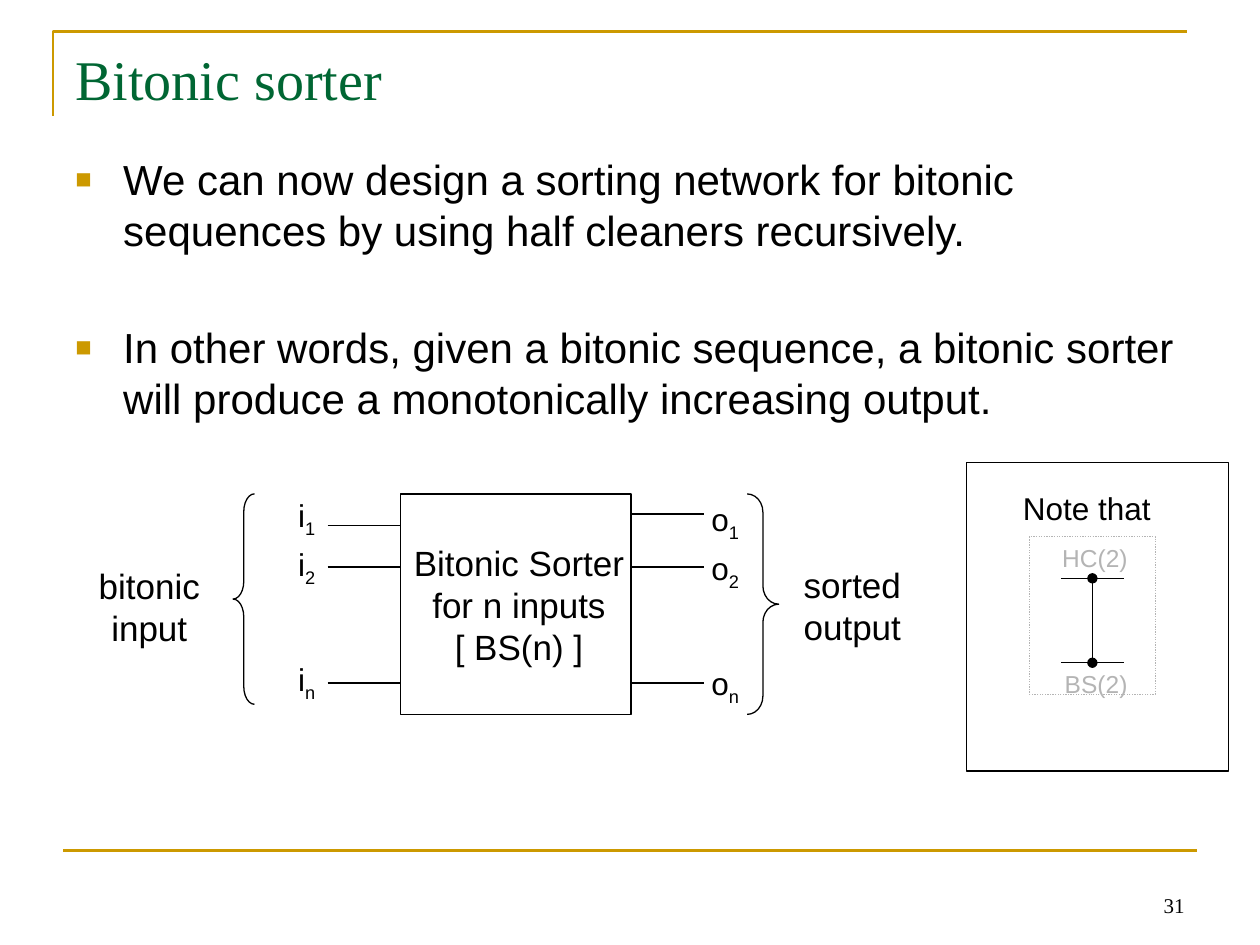
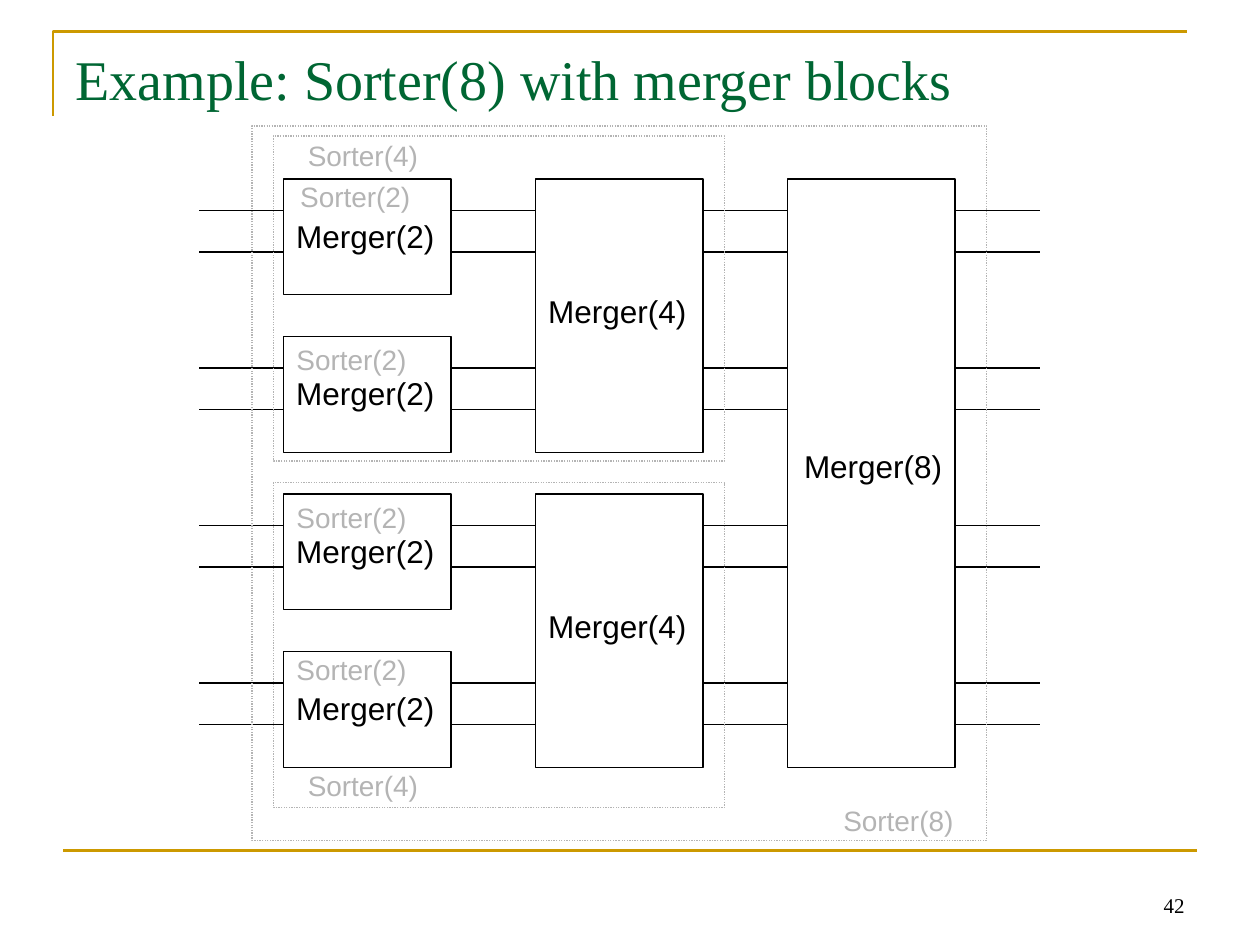
import pptx
import pptx.util
import pptx.dml.color
import pptx.enum.dml
import pptx.enum.shapes
import pptx.enum.text
import pptx.oxml
import pptx.oxml.ns

Inches = pptx.util.Inches
Pt = pptx.util.Pt
SHAPE = pptx.enum.shapes.MSO_SHAPE
ALIGN = pptx.enum.text.PP_ALIGN
ANCHOR = pptx.enum.text.MSO_ANCHOR
AUTO_SIZE = pptx.enum.text.MSO_AUTO_SIZE

GOLD, GREEN, BLACK, GREY = "CC9900", "006633", "000000", "B4B4B4"
SERIF, SANS = "Times New Roman", "Arial"
TITLE_ONLY = 5


def color(hex_text):
    return pptx.dml.color.RGBColor.from_string(hex_text)


def add_element(parent, tag, **attributes):
    element = pptx.oxml.parse_xml(f"<a:{tag} {pptx.oxml.ns.nsdecls('a')}/>")
    for name, value in attributes.items():
        element.set(name, value)
    parent.append(element)
    return element


def add_span(para, text, size, hex_text=BLACK, font=SANS):
    span = para.add_run()
    span.text = text
    span.font.size = Pt(size)
    span.font.name = font
    span.font.color.rgb = color(hex_text)
    return span


def add_label(slide, left, top, width, height, lines, size, hex_text=BLACK,
              align=ALIGN.CENTER, font=SANS, anchor=ANCHOR.TOP, subscript=None):
    box = slide.shapes.add_textbox(Inches(left), Inches(top), Inches(width), Inches(height))
    frame = box.text_frame
    frame.word_wrap = False
    frame.vertical_anchor = anchor
    if anchor == ANCHOR.TOP:
        frame.auto_size = AUTO_SIZE.SHAPE_TO_FIT_TEXT
    for index, text in enumerate(lines):
        para = frame.add_paragraph() if index else frame.paragraphs[0]
        para.alignment = align
        add_span(para, text, size, hex_text, font)
    if subscript:
        span = add_span(para, subscript, size, hex_text, font)
        span._r.get_or_add_rPr().set("baseline", "-25000")


def add_outline(slide, left, top, width, height, kind=SHAPE.RECTANGLE, dotted=False):
    shape = slide.shapes.add_shape(kind, Inches(left), Inches(top), Inches(width), Inches(height))
    shape.shadow.inherit = False
    shape.fill.background()
    shape.line.color.rgb = color(GREY if dotted else BLACK)
    shape.line.width = Pt(0.75)
    if dotted:
        shape.line.dash_style = pptx.enum.dml.MSO_LINE.ROUND_DOT
    return shape


def add_line(slide, x1, y1, x2, y2, hex_text=BLACK, weight=0.75, oval_ends=False):
    line = slide.shapes.add_connector(pptx.enum.shapes.MSO_CONNECTOR.STRAIGHT,
                                      Inches(x1), Inches(y1), Inches(x2), Inches(y2))
    line.line.color.rgb = color(hex_text)
    line.line.width = Pt(weight)
    if oval_ends:
        for tag in ("headEnd", "tailEnd"):
            add_element(line.line._get_or_add_ln(), tag, type="oval")
    add_element(line._element.spPr, "effectLst")


def add_frame_lines(slide):
    builder = slide.shapes.build_freeform(Inches(0.42), Inches(0.92))
    builder.add_line_segments([(Inches(0.42), Inches(0.25)), (Inches(9.42), Inches(0.25))],
                              close=False)
    corner = builder.convert_to_shape()
    corner.shadow.inherit = False
    corner.fill.background()
    corner.line.color.rgb = color(GOLD)
    corner.line.width = Pt(1.5)
    add_line(slide, 0.5, 6.75, 9.5, 6.75, GOLD, 1.5)


def start_slide(deck, title_text, number):
    """Add a slide with the shared lines, page number and title."""
    slide = deck.slides.add_slide(deck.slide_layouts[TITLE_ONLY])
    add_frame_lines(slide)
    add_label(slide, 7.17, 6.83, 2.33, 0.5, [number], 12, align=ALIGN.RIGHT,
              font=SERIF, anchor=ANCHOR.BOTTOM)
    title = slide.shapes.title
    title.left, title.top = Inches(0.5), Inches(0.3)
    title.width, title.height = Inches(9), Inches(1.25)
    frame = title.text_frame
    frame.auto_size = AUTO_SIZE.NONE
    frame.vertical_anchor = ANCHOR.TOP
    para = frame.paragraphs[0]
    para.alignment = ALIGN.LEFT
    add_span(para, title_text, 32, GREEN, SERIF)
    return slide


def add_bullets(slide, left, top, width, height, points):
    box = slide.shapes.add_textbox(Inches(left), Inches(top), Inches(width), Inches(height))
    frame = box.text_frame
    frame.word_wrap = True
    for index, text in enumerate(points):
        para = frame.add_paragraph() if index else frame.paragraphs[0]
        properties = para._p.get_or_add_pPr()
        properties.set("marL", str(Inches(0.38)))
        properties.set("indent", str(-Inches(0.38)))
        add_element(add_element(properties, "buClr"), "srgbClr", val=GOLD)
        add_element(properties, "buSzPct", val="65000")
        add_element(properties, "buFont", typeface=SANS)
        add_element(properties, "buChar", char="■")
        if index:
            para.space_before = Pt(38.5)
        add_span(para, text, 24)


def add_sorter_diagram(slide, left, top):
    block_left, block_width, wire = left + 2.5, 1.83, 0.58
    block_right = block_left + block_width
    add_label(slide, left + 2.47, top + 0.33, 1.94, 1.1,
              ["Bitonic Sorter ", "for n inputs", "[ BS(n) ]"], 20)
    add_outline(slide, block_left, top, block_width, 1.75)
    rows = [("1", 0.25, 0.16, -0.03), ("2", 0.58, 0.58, 0.36), ("n", 1.5, 1.5, 1.27)]
    for name, input_y, output_y, label_y in rows:
        add_line(slide, block_left - wire, top + input_y, block_left, top + input_y)
        add_line(slide, block_right, top + output_y, block_right + wire, top + output_y)
        add_label(slide, left + 1.58, top + label_y, 0.35, 0.4, ["i"], 18, subscript=name)
        add_label(slide, left + 4.86, top + label_y + 0.03, 0.43, 0.4, ["o"], 18, subscript=name)
    input_brace = add_outline(slide, left + 1.17, top, 0.17, 1.67, SHAPE.LEFT_BRACE)
    input_brace.adjustments[0] = 0.83
    output_brace = add_outline(slide, left + 5.25, top, 0.25, 1.75, SHAPE.RIGHT_BRACE)
    output_brace.adjustments[0] = 0.58
    add_label(slide, left, top + 0.51, 1.01, 0.77, ["bitonic", "input"], 20)
    add_label(slide, left + 5.58, top + 0.5, 1.01, 0.77, ["sorted", "output"], 20)


def add_note(slide, left, top):
    middle, upper, lower = left + 1, top + 0.92, top + 1.59
    for y in (upper, lower):
        add_line(slide, middle - 0.25, y, middle + 0.25, y)
    add_line(slide, middle, upper, middle, lower, oval_ends=True)
    add_outline(slide, left + 0.5, top + 0.59, 1, 1.25, dotted=True)
    add_label(slide, left + 0.66, top + 0.59, 0.72, 0.33, ["HC(2)"], 14, GREY)
    add_label(slide, left + 0.68, lower, 0.7, 0.33, ["BS(2)"], 14, GREY)
    add_label(slide, left + 0.35, top + 0.16, 1.23, 0.4, ["Note that"], 18, align=ALIGN.LEFT)
    add_outline(slide, left, top, 2.08, 2.45)


def add_merger(slide, inputs, left, top, height, label_dx, label_dy):
    add_label(slide, left + label_dx, top + label_dy, 1.3, 0.4, [f"Merger({inputs})"], 18)
    add_outline(slide, left, top, 1.33, height)


def add_sorter_label(slide, inputs, left, top):
    add_label(slide, left, top, 1.08, 0.37, [f"Sorter({inputs})"], 16, GREY)


def add_merger_network(slide, left, top):
    """Draw the eight wires, the three merger columns and the dotted sorter frames."""
    column_step, pair_step = 2, 1.25
    block_left, block_top = left + 0.25, top + 0.42
    pair_tops = [block_top + pair * pair_step for pair in range(4)]
    half_tops = pair_tops[::2]

    for pair_top in pair_tops:
        add_merger(slide, 2, block_left, pair_top, 0.92, 0, 0.25)
    for half_top in half_tops:
        add_merger(slide, 4, block_left + column_step, half_top, 2.17, 0, 0.85)
    add_merger(slide, 8, block_left + 2 * column_step, block_top, 4.67, 0.03, 2.08)

    for column in range(4):
        wire_left = left - 0.42 + column * column_step
        for pair_top in pair_tops:
            for y in (pair_top + 0.25, pair_top + 0.58):
                add_line(slide, wire_left, y, wire_left + 0.67, y)

    label_offsets = [(0.03, -0.04), (0, 0), (0, 0), (0, -0.04)]
    for pair_top, (dx, dy) in zip(pair_tops, label_offsets):
        add_sorter_label(slide, 2, block_left + dx, pair_top + dy)
    for half_top, frame_dy, label_dy in zip(half_tops, (-0.34, -0.09), (-0.37, 2.13)):
        add_outline(slide, left + 0.17, half_top + frame_dy, 3.58, 2.58, dotted=True)
        add_sorter_label(slide, 4, left + 0.34, half_top + label_dy)
    add_outline(slide, left, top, 5.83, 5.67, dotted=True)
    add_sorter_label(slide, 8, left + 4.59, top + 5.33)


def build_bitonic_slide(deck):
    slide = start_slide(deck, "Bitonic sorter", "31")
    add_bullets(slide, 0.5, 1.17, 9, 4.95, [
        "We can now design a sorting network for bitonic sequences by using half "
        "cleaners recursively.",
        "In other words, given a bitonic sequence, a bitonic sorter will produce a "
        "monotonically increasing output.",
    ])
    add_sorter_diagram(slide, 0.68, 3.92)
    add_note(slide, 7.67, 3.67)


def build_merger_slide(deck):
    slide = start_slide(deck, "Example: Sorter(8) with merger blocks", "42")
    add_merger_network(slide, 2, 1)


def main():
    deck = pptx.Presentation()
    deck.slide_width, deck.slide_height = Inches(10), Inches(7.5)
    build_bitonic_slide(deck)
    build_merger_slide(deck)
    deck.save("out.pptx")


if __name__ == "__main__":
    main()
